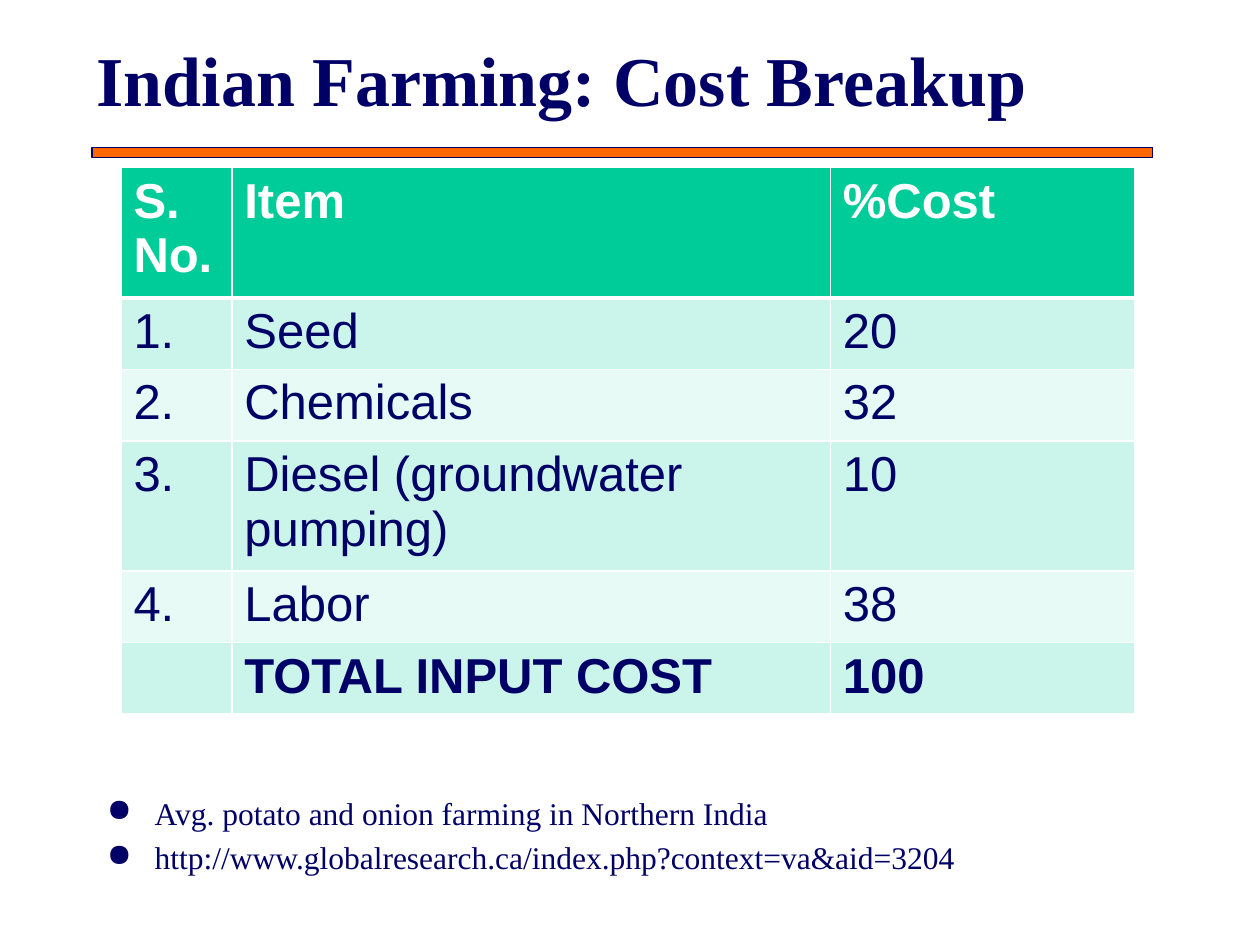
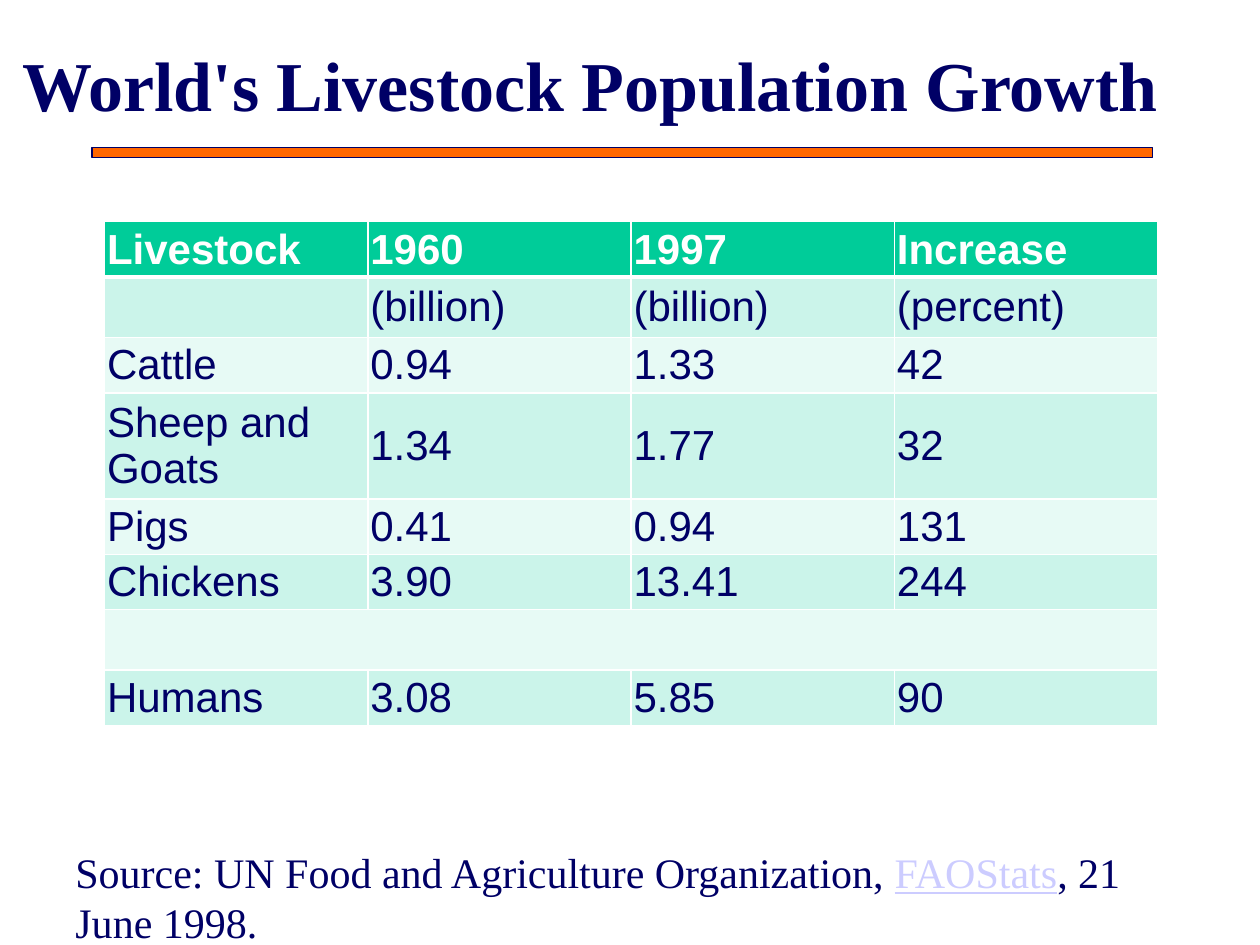
"""Build two slides on farming costs and livestock growth."""
from dataclasses import dataclass

from lxml import etree
from pptx import Presentation
from pptx.dml.color import RGBColor
from pptx.enum.shapes import MSO_SHAPE
from pptx.enum.text import MSO_ANCHOR
from pptx.oxml.ns import qn
from pptx.util import Inches, Pt

RECT = MSO_SHAPE.RECTANGLE
TOP, MIDDLE = MSO_ANCHOR.TOP, MSO_ANCHOR.MIDDLE


@dataclass(frozen=True)
class Theme:
    navy: str = "000066"
    orange: str = "FF6600"
    white: str = "FFFFFF"
    green: str = "00CC99"
    mint: str = "CBF4EA"
    pale: str = "E7FAF5"
    link: str = "CCCCFF"
    serif: str = "Times New Roman"
    sans: str = "Arial"
    title: int = 40
    large: int = 28
    text: int = 24
    note: int = 18


THEME = Theme()
BAND = (0.73, 1.17, 8.42, 0.08)

COSTS = {
    "at": (0.96, 1.33),
    "cols": [0.88, 4.75, 2.42],
    "heights": [0.97, 0.53, 0.53, 0.97, 0.53, 0.53],
    "rows": [
        ("S. No.", "Item", "%Cost"),
        ("1.", "Seed", "20"),
        ("2.", "Chemicals", "32"),
        ("3.", "Diesel (groundwater pumping)", "10"),
        ("4.", "Labor", "38"),
        ("", "TOTAL INPUT COST", "100"),
    ],
    "bold": (0, 5),
    "size": THEME.large,
    "pad": (0.1, 0.05),
    "anchor": TOP,
}
STOCK = {
    "at": (0.83, 1.76),
    "cols": [2.09] * 4,
    "heights": [0.41, 0.48, 0.41, 0.79, 0.41, 0.41, 0.48, 0.41],
    "rows": [
        ("Livestock", "1960", "1997", "Increase"),
        ("", "(billion)", "(billion)", "(percent)"),
        ("Cattle", "0.94", "1.33", "42"),
        ("Sheep and Goats", "1.34", "1.77", "32"),
        ("Pigs", "0.41", "0.94", "131"),
        ("Chickens", "3.90", "13.41", "244"),
        ("",) * 4,
        ("Humans", "3.08", "5.85", "90"),
    ],
    "bold": (0,),
    "size": THEME.text,
    "pad": (0.02, 0.02),
    "anchor": MIDDLE,
}
NOTES = [
    "Avg. potato and onion farming in Northern India",
    "http://www.globalresearch.ca/index.php?context=va&aid=3204",
]
SOURCE = [[
    ("Source: UN Food and Agriculture Organization, ", THEME.navy, False),
    ("FAOStats", THEME.link, True),
    (", 21 June 1998.", THEME.navy, False),
]]
SLIDES = [
    {
        "title": ("Indian Farming: Cost Breakup", (0.67, 0.08, 8.5, 1.08)),
        "table": COSTS,
        "foot": (NOTES, (0.75, 6.25, 8.5, 1)),
        "format": {"size": THEME.note, "bullet": "●", "gap": 3.6},
    },
    {
        "title": ("World's Livestock Population Growth",
                  (0.08, 0.25, 9.75, 0.83)),
        "table": STOCK,
        "foot": (SOURCE, (0.5, 6.67, 8.92, 0.4)),
        "format": {"size": THEME.text},
    },
]


def rgb(code):
    return RGBColor.from_string(code)


def add_bullet(para, mark, color):
    props = para._p.get_or_add_pPr()
    props.set("marL", str(Inches(0.38)))
    props.set("indent", str(-Inches(0.38)))
    tint = etree.SubElement(props, qn("a:buClr"))
    etree.SubElement(tint, qn("a:srgbClr"), val=color)
    etree.SubElement(props, qn("a:buChar"), char=mark)


def write(frame, text, *, size, face=THEME.serif, color=THEME.navy,
          bold=False, bullet=None, gap=0):
    frame.word_wrap = True
    lines = [text] if isinstance(text, str) else text
    for i, line in enumerate(lines):
        para = frame.add_paragraph() if i else frame.paragraphs[0]
        if bullet:
            add_bullet(para, bullet, color)
        if i and gap:
            para.space_before = Pt(gap)
        parts = [(line, color, False)] if isinstance(line, str) else line
        for words, tint, under in parts:
            run = para.add_run()
            run.text = words
            font = run.font
            font.name, font.size, font.bold = face, Pt(size), bold
            font.color.rgb = rgb(tint)
            font.underline = under


def add_text(slide, text, place, anchor=TOP, **style):
    box = slide.shapes.add_textbox(*map(Inches, place))
    box.text_frame.vertical_anchor = anchor
    write(box.text_frame, text, **style)


def add_band(slide):
    band = slide.shapes.add_shape(RECT, *map(Inches, BAND))
    band.shadow.inherit = False
    band.fill.solid()
    band.fill.fore_color.rgb = rgb(THEME.orange)
    band.line.color.rgb = rgb(THEME.navy)
    band.line.width = Pt(0.75)


def add_edges(cell, row):
    props = cell._tc.get_or_add_tcPr()
    wide = {"T": row == 1, "B": row == 0}
    for side in "LRTB":
        width = Pt(3 if wide.get(side) else 1)
        edge = etree.SubElement(props, qn(f"a:ln{side}"), w=str(width))
        fill = etree.SubElement(edge, qn("a:solidFill"))
        etree.SubElement(fill, qn("a:srgbClr"), val=THEME.white)


def add_grid(slide, data):
    rows, cols, heights = data["rows"], data["cols"], data["heights"]
    place = (*data["at"], sum(cols), sum(heights))
    grid = slide.shapes.add_table(
        len(rows), len(cols), *map(Inches, place)).table
    for col, width in zip(grid.columns, cols):
        col.width = Inches(width)
    for r, words in enumerate(rows):
        grid.rows[r].height = Inches(heights[r])
        shade = (THEME.mint if r % 2 else THEME.pale) if r else THEME.green
        for c, word in enumerate(words):
            cell = grid.cell(r, c)
            add_edges(cell, r)
            cell.fill.solid()
            cell.fill.fore_color.rgb = rgb(shade)
            cell.vertical_anchor = data["anchor"]
            across, down = map(Inches, data["pad"])
            cell.margin_left = cell.margin_right = across
            cell.margin_top = cell.margin_bottom = down
            if word:
                write(cell.text_frame, word, size=data["size"],
                      face=THEME.sans, bold=r in data["bold"],
                      color=THEME.navy if r else THEME.white)
        if not any(words):
            grid.cell(r, 0).merge(grid.cell(r, len(cols) - 1))


def main():
    deck = Presentation()
    deck.slide_width, deck.slide_height = Inches(10), Inches(7.5)
    for page in SLIDES:
        slide = deck.slides.add_slide(deck.slide_layouts[6])
        add_band(slide)
        add_text(slide, *page["title"], anchor=MIDDLE,
                 size=THEME.title, bold=True)
        add_grid(slide, page["table"])
        add_text(slide, *page["foot"], **page["format"])
    deck.save("out.pptx")


if __name__ == "__main__":
    main()
